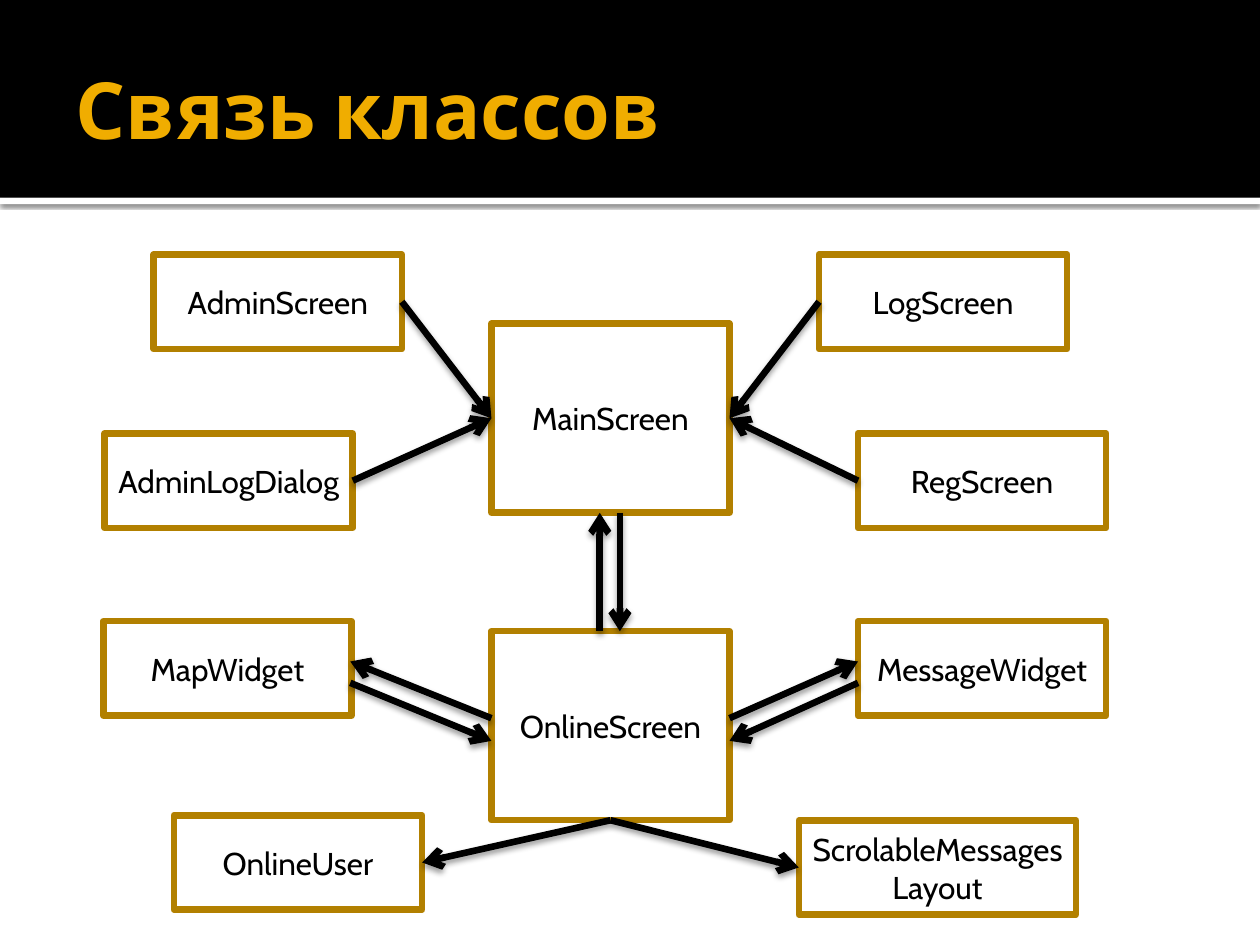
from dataclasses import dataclass

from lxml import etree
from pptx import Presentation
from pptx.dml.color import RGBColor
from pptx.enum.shapes import MSO_CONNECTOR, MSO_SHAPE
from pptx.enum.text import MSO_ANCHOR, PP_ALIGN
from pptx.oxml.ns import qn
from pptx.util import Inches, Pt

RECT = MSO_SHAPE.RECTANGLE
STRAIGHT = MSO_CONNECTOR.STRAIGHT
MIDDLE = MSO_ANCHOR.MIDDLE
CENTER = PP_ALIGN.CENTER
TOP, LEFT, BOTTOM, RIGHT = range(4)
FONT = "Cabin"
BLACK, WHITE, GOLD, AMBER = "000000", "FFFFFF", "B28000", "F0AD00"
LINE_WIDTH = Pt(3.78)


@dataclass
class Box:
    name: str
    x: float
    y: float
    w: float = 1.97
    h: float = 0.75


@dataclass
class Link:
    source: str
    source_side: int
    target: str
    target_side: int


@dataclass
class Arrow:
    x1: float
    y1: float
    x2: float
    y2: float


BOXES = [
    Box("MainScreen", 3.9, 2.57, 1.89, 1.5),
    Box("OnlineScreen", 3.9, 5.01, 1.89, 1.5),
    Box("AdminScreen", 1.22, 2.02),
    Box("AdminLogDialog", 0.83, 3.44),
    Box("LogScreen", 6.5, 2.02),
    Box("RegScreen", 6.81, 3.44),
    Box("MapWidget", 0.82, 4.93),
    Box("MessageWidget", 6.81, 4.93),
    Box("OnlineUser", 1.38, 6.47),
    Box("ScrolableMessagesLayout", 6.34, 6.51, 2.2),
]

LINKS = [
    Link("AdminScreen", RIGHT, "MainScreen", LEFT),
    Link("AdminLogDialog", RIGHT, "MainScreen", LEFT),
    Link("LogScreen", LEFT, "MainScreen", RIGHT),
    Link("RegScreen", LEFT, "MainScreen", RIGHT),
    Link("OnlineScreen", BOTTOM, "OnlineUser", RIGHT),
    Link("OnlineScreen", BOTTOM, "ScrolableMessagesLayout", LEFT),
]

ARROWS = [
    Arrow(2.78, 5.42, 3.9, 5.88),
    Arrow(3.9, 5.7, 2.78, 5.25),
    Arrow(4.76, 5.01, 4.76, 4.07),
    Arrow(4.92, 4.07, 4.92, 5.01),
    Arrow(6.81, 5.42, 5.79, 5.88),
    Arrow(5.79, 5.7, 6.81, 5.25),
]


def rgb(value: str) -> RGBColor:
    return RGBColor.from_string(value)


def add_shadow(shape, alpha: int, blur: float, dist: float) -> None:
    sp_pr = shape._element.spPr
    for old in sp_pr.findall(qn("a:effectLst")):
        sp_pr.remove(old)
    effects = etree.SubElement(sp_pr, qn("a:effectLst"))
    shadow = etree.SubElement(
        effects, qn("a:outerShdw"), blurRad=str(Pt(blur)), dist=str(Pt(dist)),
        dir="5400000", rotWithShape="0")
    color = etree.SubElement(shadow, qn("a:srgbClr"), val=BLACK)
    etree.SubElement(color, qn("a:alpha"), val=str(alpha * 1000))


def format_text(tf, text: str, size: float, color: str, bold: bool = False):
    tf.text = text
    tf.word_wrap = True
    tf.vertical_anchor = MIDDLE
    p = tf.paragraphs[0]
    font = p.runs[0].font
    font.name, font.size, font.bold = FONT, Pt(size), bold
    font.color.rgb = rgb(color)
    return p


def add_band(s, y: float, h: float, color: str):
    sp = s.shapes.add_shape(RECT, 0, Inches(y), Inches(10), Inches(h))
    sp.shadow.inherit = False
    sp.fill.solid()
    sp.fill.fore_color.rgb = rgb(color)
    sp.line.fill.background()
    return sp


def add_title(s, text: str) -> None:
    tf = s.shapes.add_textbox(Inches(0.5), Inches(0.17), Inches(9), Inches(1.37)).text_frame
    format_text(tf, text, 45, AMBER, True)
    tf.margin_right = Inches(0.05)


def add_box(s, box: Box):
    sp = s.shapes.add_shape(RECT, Inches(box.x), Inches(box.y), Inches(box.w), Inches(box.h))
    sp.shadow.inherit = False
    sp.fill.background()
    sp.line.color.rgb = rgb(GOLD)
    sp.line.width = LINE_WIDTH
    format_text(sp.text_frame, box.name, 18, BLACK).alignment = CENTER
    return sp


def add_arrow(s, arrow: Arrow):
    cx = s.shapes.add_connector(
        STRAIGHT, Inches(arrow.x1), Inches(arrow.y1), Inches(arrow.x2), Inches(arrow.y2))
    cx.line.color.rgb = rgb(BLACK)
    cx.line.width = LINE_WIDTH
    etree.SubElement(cx.line._get_or_add_ln(), qn("a:tailEnd"), type="arrow")
    add_shadow(cx, 38, 3.5, 2)
    return cx


def add_link(s, link: Link, shapes: dict) -> None:
    cx = add_arrow(s, Arrow(0, 0, 1, 1))
    cx.begin_connect(shapes[link.source], link.source_side)
    cx.end_connect(shapes[link.target], link.target_side)


def main() -> None:
    prs = Presentation()
    prs.slide_width, prs.slide_height = Inches(10), Inches(7.5)
    s = prs.slides.add_slide(prs.slide_layouts[6])
    add_shadow(add_band(s, 1.57, 0.05, WHITE), 60, 2.5, 0.8)
    add_band(s, 0, 1.57, BLACK)
    add_title(s, "Связь классов")
    shapes = {box.name: add_box(s, box) for box in BOXES}
    for arrow in ARROWS:
        add_arrow(s, arrow)
    for link in LINKS:
        add_link(s, link, shapes)
    prs.save("out.pptx")


if __name__ == "__main__":
    main()
